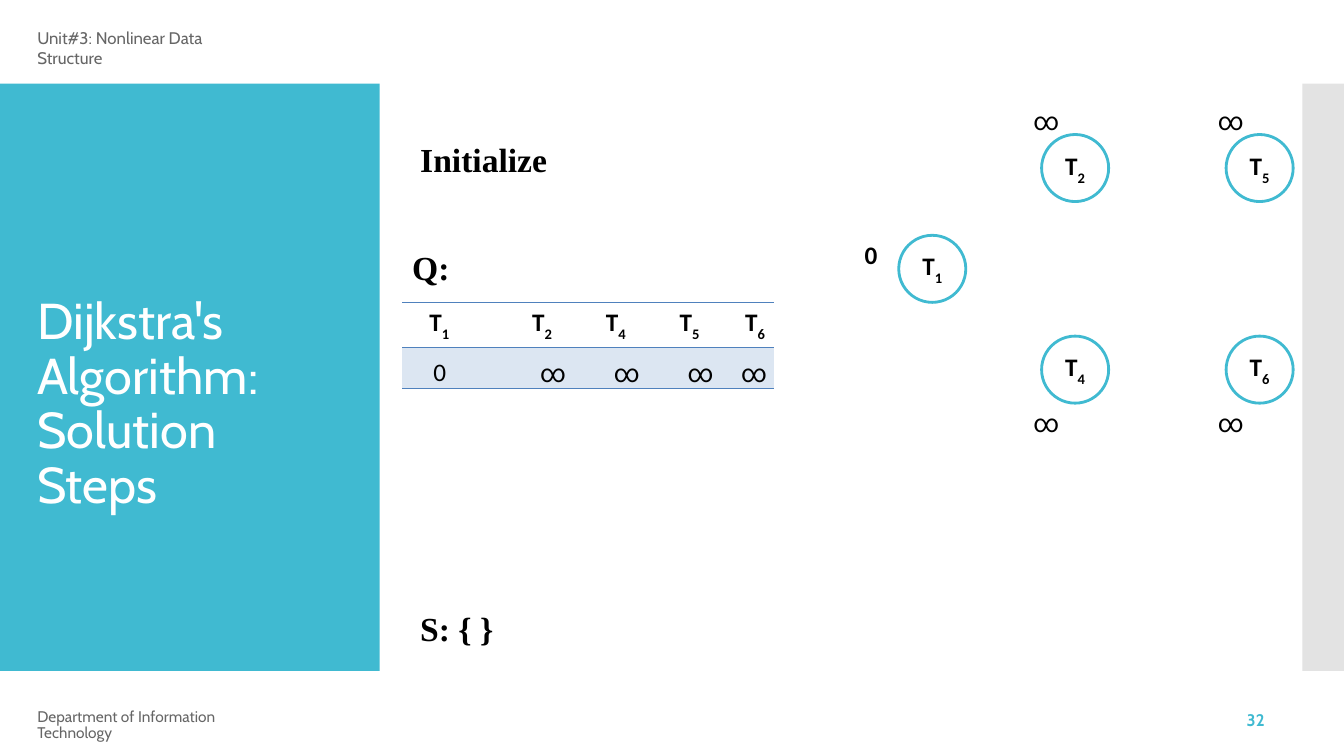
import dataclasses

import lxml.etree
import pptx
import pptx.dml.color
import pptx.enum.shapes
import pptx.enum.text
import pptx.oxml.ns
import pptx.util

Cm, Pt = pptx.util.Cm, pptx.util.Pt
RGB = pptx.dml.color.RGBColor.from_string
qn = pptx.oxml.ns.qn
MIDDLE = pptx.enum.text.MSO_ANCHOR.MIDDLE
BOTTOM = pptx.enum.text.MSO_ANCHOR.BOTTOM


@dataclasses.dataclass(frozen=True)
class Theme:
    accent: str = "40BAD1"
    side: str = "E3E3E3"
    rule: str = "4F81BD"
    band: str = "DCE6F2"
    ink: str = "000000"
    muted: str = "666666"
    white: str = "FFFFFF"
    brand_font: str = "Cabin"
    label_font: str = "Calibri"
    symbol_font: str = "Roboto"
    heading_font: str = "Times New Roman"
    title_size: int = 36
    heading_size: int = 24
    label_size: int = 18
    small_size: int = 12
    footer_size: int = 11


theme = Theme()


def add_run(paragraph, text, font, size, color=theme.ink, bold=False, subscript=False):
    run = paragraph.add_run()
    run.text = text
    run.font.name = font
    run.font.size = Pt(size)
    run.font.bold = bold
    run.font.color.rgb = RGB(color)
    if subscript:
        run.font._element.set("baseline", "-32000")


def add_text(left, top, width, height, text, font, size, color=theme.ink, bold=False, spacing=None):
    frame = slide.shapes.add_textbox(Cm(left), Cm(top), Cm(width), Cm(height)).text_frame
    frame.word_wrap = True
    frame.margin_left = frame.margin_right = frame.margin_bottom = 0
    frame.margin_top = 0 if spacing else Cm(0.06)
    if spacing:
        frame.paragraphs[0].line_spacing = Pt(spacing)
    add_run(frame.paragraphs[0], text, font, size, color, bold)


deck = pptx.Presentation()
deck.slide_width, deck.slide_height = Cm(33.87), Cm(19.05)
slide = deck.slides.add_slide(deck.slide_layouts[5])

# Side panels, kept behind the title
title = slide.shapes.title
for left, width, color in [(0, 9.57, theme.accent), (32.82, 1.05, theme.side)]:
    panel = slide.shapes.add_shape(
        pptx.enum.shapes.MSO_SHAPE.RECTANGLE, Cm(left), Cm(2.11), Cm(width), Cm(14.8))
    panel.shadow.inherit = False
    panel.fill.solid()
    panel.fill.fore_color.rgb = RGB(color)
    panel.line.fill.background()
    title._element.addprevious(panel._element)

# Title
title.left, title.top, title.width, title.height = Cm(0.94), Cm(7.24), Cm(7.4), Cm(5.9)
heading = title.text_frame
heading.word_wrap = True
heading.auto_size = pptx.enum.text.MSO_AUTO_SIZE.NONE
heading.vertical_anchor = pptx.enum.text.MSO_ANCHOR.TOP
heading.margin_left = heading.margin_right = heading.margin_bottom = 0
heading.margin_top = Cm(0.2)
heading.paragraphs[0].alignment = pptx.enum.text.PP_ALIGN.LEFT
heading.paragraphs[0].line_spacing = Pt(39)
heading.paragraphs[0].space_before = Pt(5.8)
add_run(heading.paragraphs[0], "Dijkstra's Algorithm: Solution Steps",
        theme.brand_font, theme.title_size, theme.white)

# Header, footer and page number
add_text(0.94, 0.64, 5.4, 1.1, "Unit#3: Nonlinear Data Structure",
         theme.brand_font, theme.small_size, theme.muted)
add_text(0.94, 17.88, 5.8, 0.9, "Department of Information Technology",
         theme.brand_font, theme.footer_size, theme.muted, spacing=11.4)
add_text(31.42, 17.96, 0.8, 0.5, "32",
         theme.brand_font, theme.small_size, theme.accent, bold=True, spacing=12.3)

# Step headings
for left, top, text in [(10.59, 3.43, "Initialize"), (10.39, 6.17, "Q:"), (10.59, 15.27, "S: { }")]:
    add_text(left, top, 4, 1.1, text, theme.heading_font, theme.heading_size, bold=True)

# Graph nodes with their starting distances
# number, left, top, distance, offset of the distance from the node
diameter = 1.69
nodes = [
    ("1", 22.65, 5.93, "0", -0.86, 0.04),
    ("2", 26.25, 3.39, "∞", -0.21, -0.8),
    ("4", 26.25, 8.47, "∞", -0.21, 1.74),
    ("5", 30.9, 3.39, "∞", -0.21, -0.8),
    ("6", 30.9, 8.47, "∞", -0.21, 1.74),
]
for number, left, top, distance, across, down in nodes:
    node = slide.shapes.add_shape(
        pptx.enum.shapes.MSO_SHAPE.OVAL, Cm(left), Cm(top), Cm(diameter), Cm(diameter))
    node.shadow.inherit = False
    node.fill.background()
    node.line.color.rgb = RGB(theme.accent)
    node.line.width = Pt(2)
    label = node.text_frame
    label.word_wrap = False
    label.vertical_anchor = MIDDLE
    label.margin_left = label.margin_right = label.margin_top = label.margin_bottom = 0
    label.paragraphs[0].alignment = pptx.enum.text.PP_ALIGN.CENTER
    add_run(label.paragraphs[0], "T", theme.label_font, theme.label_size, bold=True)
    add_run(label.paragraphs[0], number, theme.label_font, theme.label_size, bold=True, subscript=True)
    known = distance != "∞"
    add_text(left + across, top + down, 0.8, 0.85, distance,
             theme.label_font if known else theme.symbol_font, theme.label_size, bold=known)

# Priority queue table
column_widths = [2.59, 1.86, 1.86, 1.65, 1.4]
row_heights = [1.14, 1.03]
queue = slide.shapes.add_table(
    2, len(nodes), Cm(10.14), Cm(7.62), Cm(sum(column_widths)), Cm(sum(row_heights))).table
queue.first_row = queue.horz_banding = False
no_style = "{2D5ABB26-0587-4C30-8999-92F81FD0307C}"
queue._tbl.tblPr.find(qn("a:tableStyleId")).text = no_style
for row, height in zip(queue.rows, row_heights):
    row.height = Cm(height)
distance_indents = [0.78, 0.88, 0.88, 0.88, 0.58]
for column, (number, _, _, distance, _, _) in enumerate(nodes):
    queue.columns[column].width = Cm(column_widths[column])
    name_cell, distance_cell = queue.cell(0, column), queue.cell(1, column)
    for cell, indent, anchor in [(name_cell, 0.68, MIDDLE),
                                 (distance_cell, distance_indents[column], BOTTOM)]:
        cell.margin_left = Cm(indent)
        cell.margin_right = cell.margin_top = cell.margin_bottom = 0
        cell.vertical_anchor = anchor
        for side in ("a:lnT", "a:lnB"):
            border = lxml.etree.SubElement(cell._tc.get_or_add_tcPr(), qn(side), w=str(Pt(1)))
            paint = lxml.etree.SubElement(border, qn("a:solidFill"))
            lxml.etree.SubElement(paint, qn("a:srgbClr"), val=theme.rule)
    name_cell.fill.background()
    distance_cell.fill.solid()
    distance_cell.fill.fore_color.rgb = RGB(theme.band)
    name = name_cell.text_frame.paragraphs[0]
    add_run(name, "T", theme.label_font, theme.label_size, bold=True)
    add_run(name, number, theme.label_font, theme.label_size, bold=True, subscript=True)
    add_run(distance_cell.text_frame.paragraphs[0], distance,
            theme.symbol_font if distance == "∞" else theme.label_font, theme.label_size)

deck.save("out.pptx")
